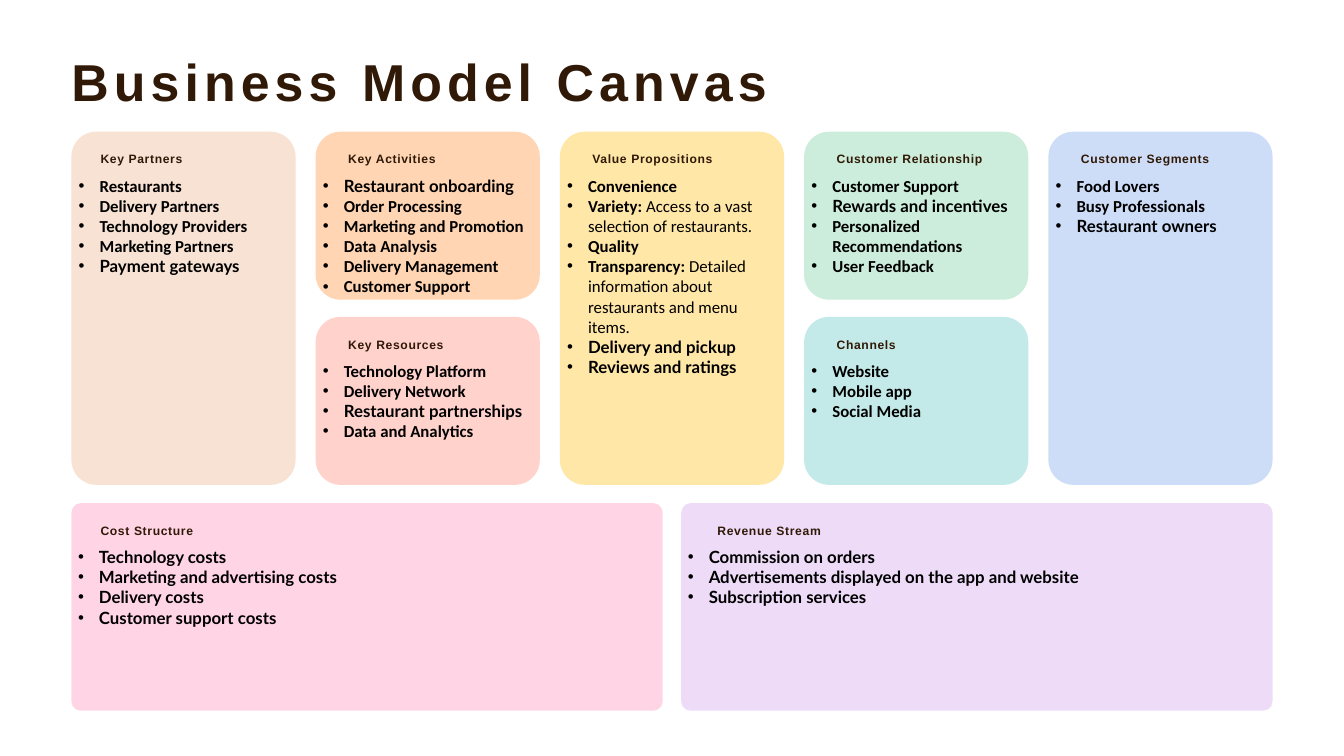
from dataclasses import dataclass

from lxml import etree
from pptx import Presentation
from pptx import util as u
from pptx.dml import color
from pptx.enum import shapes, text
from pptx.oxml import ns


@dataclass(frozen=True)
class Theme:
    ink: str = "301906"
    body: str = "000000"
    head: str = "Arial"
    main: str = "Calibri"
    alt: str = "Lato"
    title: float = 55.6
    label: float = 13
    item: float = 18
    alpha: int = 70
    peach: str = "F5D6C3"
    orange: str = "FFC493"
    coral: str = "FFC0B7"
    yellow: str = "FFDE83"
    green: str = "B7E6CC"
    teal: str = "ACE1E1"
    blue: str = "BACFF4"
    pink: str = "FFC2DB"
    lilac: str = "E6CDF4"


@dataclass(frozen=True)
class Box:
    left: float
    top: float
    wide: float
    high: float

    def place(self):
        return [u.Cm(n) for n in (self.left, self.top, self.wide, self.high)]


T = Theme()


def main_item(head, tail=""):
    return head, tail, T.main


def alt_item(head):
    return head, "", T.alt


def apply(part, form):
    for name, value in form.items():
        setattr(part, name, value)


def add_run(para, words, form, ink, gap=0):
    run = para.add_run()
    run.text = words
    apply(run.font, form)
    run.font.color.rgb = color.RGBColor.from_string(ink)
    if gap:
        run._r.get_or_add_rPr().set("spc", str(round(gap * 100)))


def add_line(slide, box, words, size, lead, gap):
    frame = slide.shapes.add_textbox(*box.place()).text_frame
    apply(frame, dict(word_wrap=True, margin_left=0, margin_right=0,
                      margin_top=0, margin_bottom=0))
    para = frame.paragraphs[0]
    para.line_spacing = u.Pt(lead)
    form = dict(name=T.head, size=u.Pt(size), bold=True)
    add_run(para, words, form, T.ink, gap)


def add_bullet(para, item):
    head, tail, font = item
    apply(para, dict(line_spacing=u.Pt(T.item * 1.2),
                     alignment=text.PP_ALIGN.LEFT))
    props = para._p.get_or_add_pPr()
    dent = u.Cm(0.79)
    props.set("marL", str(dent))
    props.set("indent", str(-dent))
    etree.SubElement(props, ns.qn("a:buFont")).set("typeface", T.head)
    etree.SubElement(props, ns.qn("a:buChar")).set("char", "•")
    for words, bold in ((head, True), (tail, False)):
        if words:
            form = dict(name=font, size=u.Pt(T.item), bold=bold)
            add_run(para, words, form, T.body)


def add_panel(slide, box, round_by, fill, label, dent, drop, items):
    card = slide.shapes.add_shape(
        shapes.MSO_SHAPE.ROUNDED_RECTANGLE, *box.place())
    card.adjustments[0] = round_by / min(box.wide, box.high)
    card.shadow.inherit = False
    card.line.fill.background()
    card.fill.solid()
    card.fill.fore_color.rgb = color.RGBColor.from_string(fill)
    tint = card._element.spPr.find(".//" + ns.qn("a:srgbClr"))
    etree.SubElement(tint, ns.qn("a:alpha")).set("val", str(T.alpha * 1000))

    inset = round_by * 0.29
    side = u.Cm(max(0, 0.25 - inset))
    frame = card.text_frame
    apply(frame, dict(word_wrap=True, vertical_anchor=text.MSO_ANCHOR.TOP,
                      margin_left=side, margin_right=side,
                      margin_top=u.Cm(1.65 - inset), margin_bottom=0))
    for i, item in enumerate(items):
        para = frame.add_paragraph() if i else frame.paragraphs[0]
        add_bullet(para, item)

    line = Box(box.left + dent, box.top + drop, box.wide - 2 * dent, 0.53)
    add_line(slide, line, label, T.label, 13.4, 0.7)


def add_columns(slide, box, cols):
    gap, split = 0.76, 0.65
    wide = (box.wide - gap * (len(cols) - 1)) / len(cols)
    for i, col in enumerate(cols):
        high = (box.high - split * (len(col) - 1)) / len(col)
        for j, panel in enumerate(col):
            spot = Box(box.left + i * (wide + gap),
                       box.top + j * (high + split), wide, high)
            add_panel(slide, spot, 0.94, *panel)


def add_footer(slide, box, panels):
    gap = 0.7
    wide = (box.wide - gap) / 2
    for i, panel in enumerate(panels):
        spot = Box(box.left + i * (wide + gap), box.top, wide, box.high)
        add_panel(slide, spot, 0.36, *panel)


COLS = [
    [(T.peach, "Key Partners", 1.1, 0.81, [
        main_item("Restaurants"),
        main_item("Delivery Partners"),
        main_item("Technology Providers"),
        main_item("Marketing Partners"),
        alt_item("Payment gateways")])],
    [(T.orange, "Key Activities", 1.23, 0.81, [
        alt_item("Restaurant onboarding"),
        main_item("Order Processing"),
        main_item("Marketing and Promotion"),
        main_item("Data Analysis"),
        main_item("Delivery Management"),
        main_item("Customer Support")]),
     (T.coral, "Key Resources", 1.23, 0.84, [
         main_item("Technology Platform"),
         main_item("Delivery Network"),
         alt_item("Restaurant partnerships"),
         main_item("Data and Analytics")])],
    [(T.yellow, "Value Propositions", 1.23, 0.81, [
        main_item("Convenience"),
        main_item("Variety: ", "Access to a vast selection of restaurants."),
        main_item("Quality"),
        main_item("Transparency: ", "Detailed information about "
                  "restaurants and menu items."),
        alt_item("Delivery and pickup"),
        alt_item("Reviews and ratings")])],
    [(T.green, "Customer Relationship", 1.23, 0.81, [
        main_item("Customer Support"),
        alt_item("Rewards and incentives"),
        main_item("Personalized Recommendations"),
        main_item("User Feedback")]),
     (T.teal, "Channels", 1.23, 0.84, [
         main_item("Website"),
         main_item("Mobile app"),
         main_item("Social Media")])],
    [(T.blue, "Customer Segments", 1.23, 0.81, [
        main_item("Food Lovers"),
        main_item("Busy Professionals"),
        alt_item("Restaurant owners")])],
]

FOOT = [
    (T.pink, "Cost Structure", 1.1, 0.86, [
        alt_item("Technology costs"),
        alt_item("Marketing and advertising costs"),
        alt_item("Delivery costs"),
        alt_item("Customer support costs")]),
    (T.lilac, "Revenue Stream", 1.37, 0.86, [
        alt_item("Commission on orders"),
        alt_item("Advertisements displayed on the app and website"),
        alt_item("Subscription services")]),
]


def main():
    deck = Presentation()
    apply(deck, dict(slide_width=u.Cm(50.8), slide_height=u.Cm(28.58)))
    slide = deck.slides.add_slide(deck.slide_layouts[6])
    left, wide = 2.7, 45.4
    add_line(slide, Box(left, 1.96, 33.3, 2.31), "Business Model Canvas",
             T.title, 63.9, 5.5)
    add_columns(slide, Box(left, 4.98, wide, 13.35), COLS)
    add_footer(slide, Box(left, 19.02, wide, 7.85), FOOT)
    deck.save("out.pptx")


if __name__ == "__main__":
    main()
